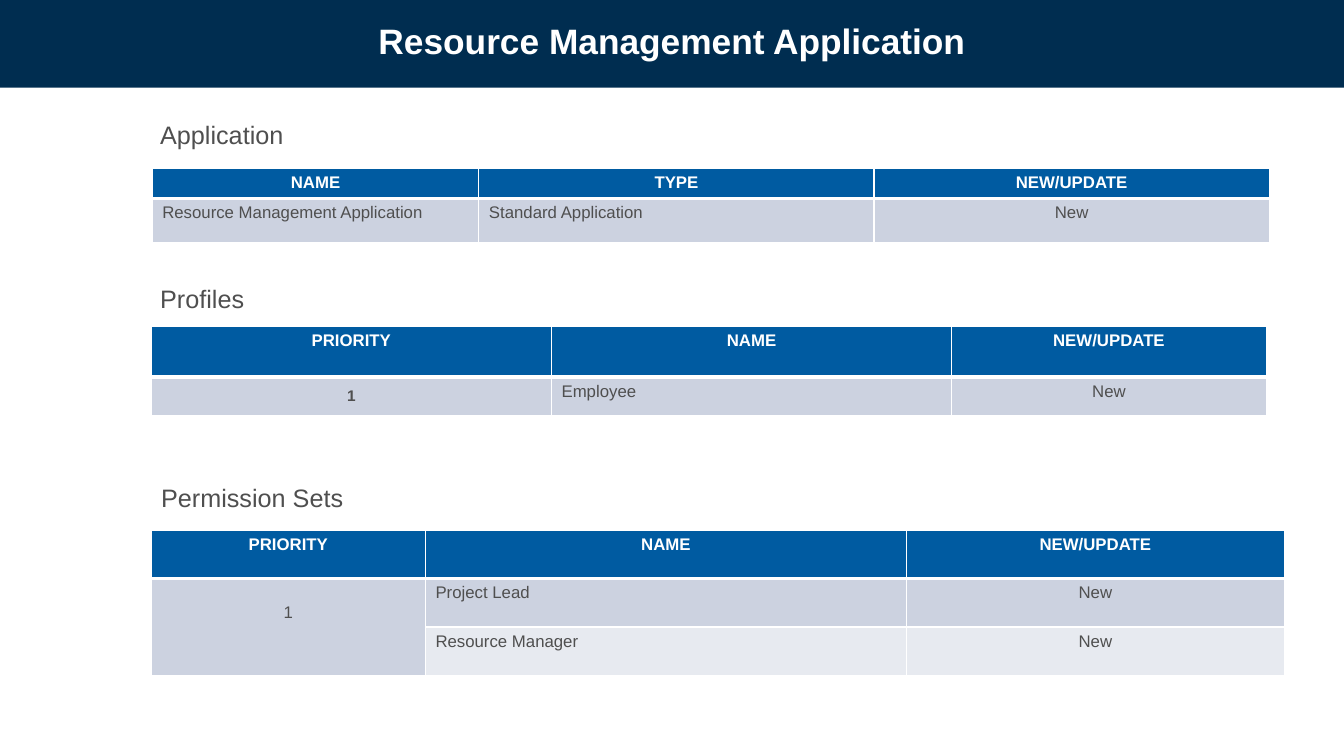
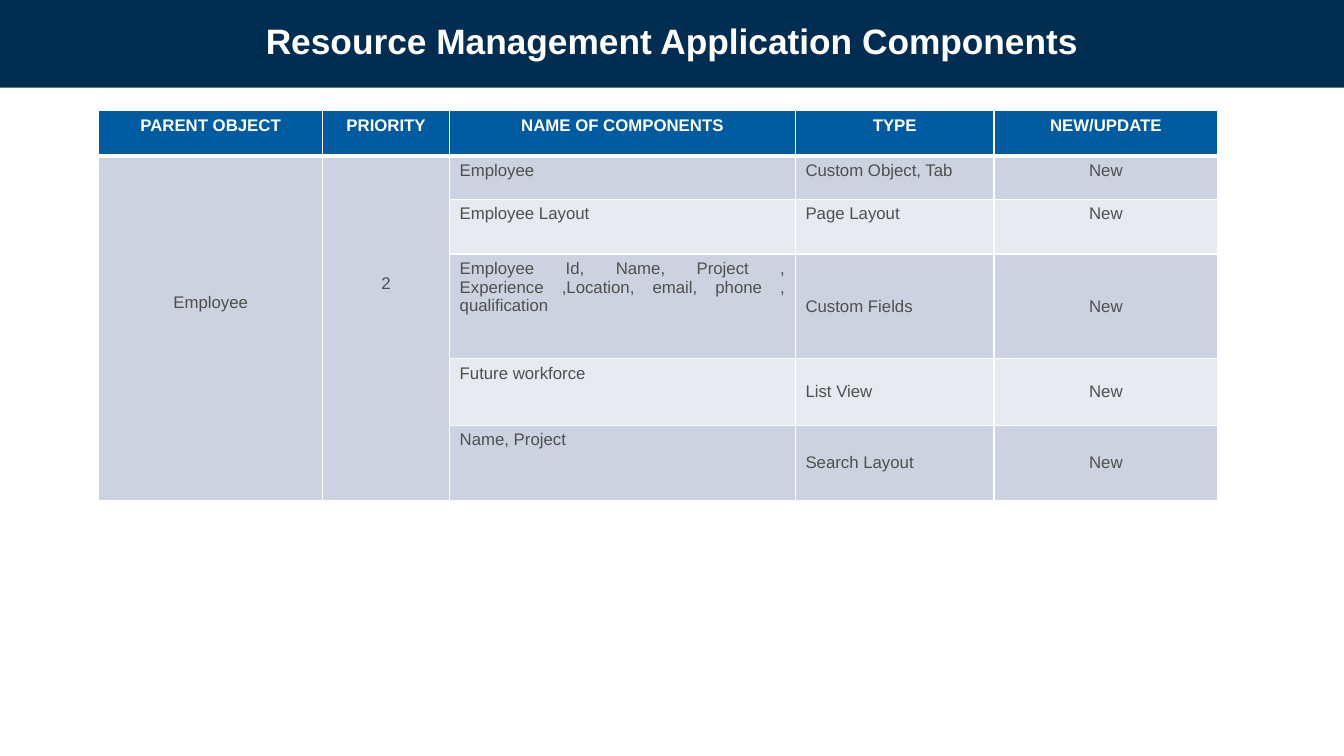
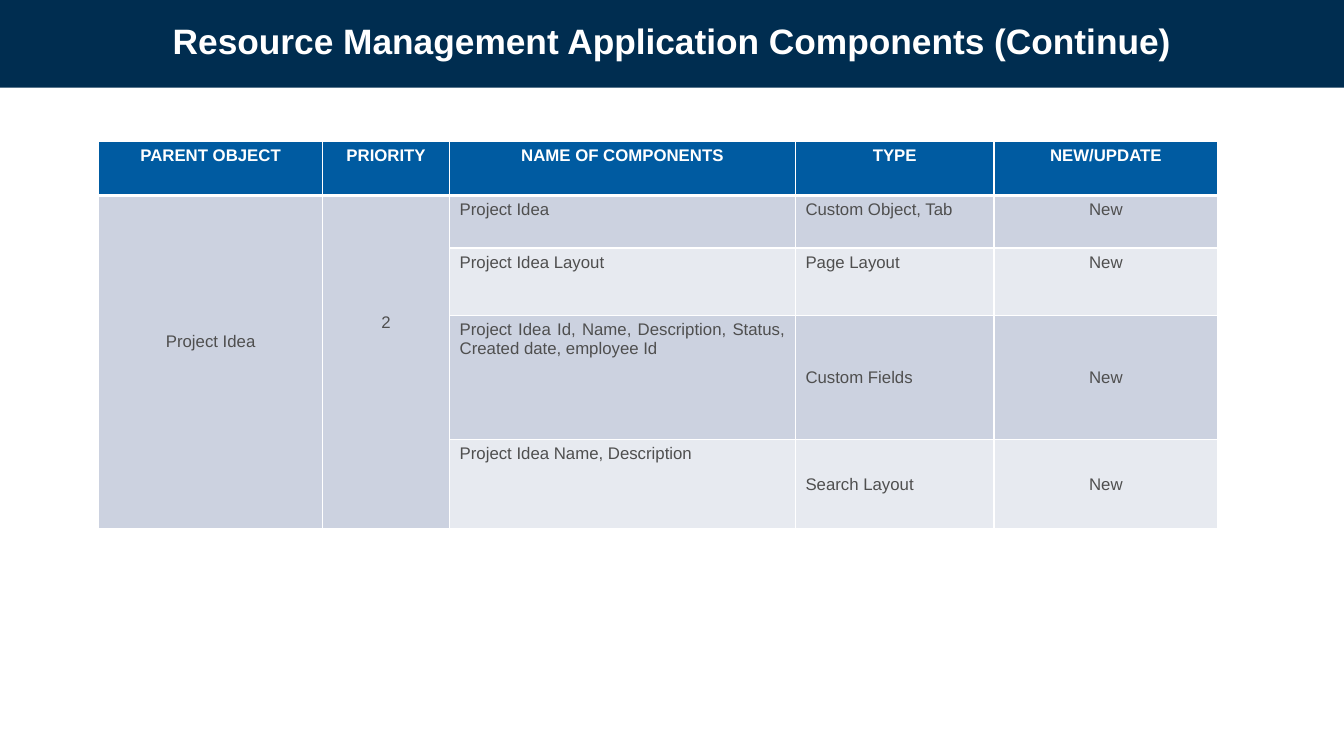
from dataclasses import dataclass

from lxml.etree import SubElement
from pptx import Presentation
from pptx.dml.color import RGBColor as RGB
from pptx.enum.shapes import MSO_SHAPE as SHAPE
from pptx.enum.text import MSO_ANCHOR as ANCHOR, PP_ALIGN as ALIGN
from pptx.oxml.ns import qn
from pptx.util import Inches, Pt


@dataclass(frozen=True)
class Theme:
    font: str = "Arial"
    band: RGB = RGB.from_string("002D50")
    header: RGB = RGB.from_string("005BA1")
    odd_row: RGB = RGB.from_string("CCD2E0")
    even_row: RGB = RGB.from_string("E7EAF0")
    ink: RGB = RGB.from_string("4F4F4F")
    white: RGB = RGB.from_string("FFFFFF")
    title_size: float = 25.2
    heading_size: float = 18
    cell_size: float = 12
    key_size: float = 11
    rule: float = 1
    header_rule: float = 3


theme = Theme()
LEFT, CENTER, JUSTIFY = ALIGN.LEFT, ALIGN.CENTER, ALIGN.JUSTIFY


def write(frame, text, size=theme.cell_size, color=theme.ink, bold=False,
          align=LEFT, anchor=ANCHOR.TOP):
    frame.word_wrap = True
    frame.vertical_anchor = anchor
    paragraph = frame.paragraphs[0]
    paragraph.alignment = align
    run = paragraph.add_run()
    run.text = text
    run.font.name = theme.font
    run.font.size = Pt(size)
    run.font.bold = bold
    run.font.color.rgb = color


def draw_edges(cell, top, bottom):
    properties = cell._tc.get_or_add_tcPr()
    widths = {"a:lnL": theme.rule, "a:lnR": theme.rule, "a:lnT": top, "a:lnB": bottom}
    for tag, width in widths.items():
        edge = SubElement(properties, qn(tag), w=str(Pt(width)))
        SubElement(SubElement(edge, qn("a:solidFill")), qn("a:srgbClr"), val=str(theme.white))


component_columns = {
    "header": ["PARENT OBJECT", "PRIORITY", "NAME OF COMPONENTS", "TYPE", "NEW/UPDATE"],
    "widths": [2.22, 1.26, 3.43, 1.97, 2.22],
    "aligns": [CENTER, CENTER, JUSTIFY, JUSTIFY, CENTER],
    "merged": {0: 1.36, 1: 1.17},
    "middle_from": (3, 3),
}

slides = [
    ("Resource Management Application", [
        {
            "heading": ("Application", 1.49, 1.13, 2.27),
            "at": (1.51, 1.67),
            "header": ["NAME", "TYPE", "NEW/UPDATE"],
            "widths": [3.24, 3.92, 3.92],
            "heights": [0.29, 0.44],
            "aligns": [LEFT, LEFT, CENTER],
            "rows": [["Resource Management Application", "Standard Application", "New"]],
        },
        {
            "heading": ("Profiles", 1.49, 2.76, 2.17),
            "at": (1.5, 3.24),
            "header": ["PRIORITY", "NAME", "NEW/UPDATE"],
            "widths": [3.97, 3.97, 3.12],
            "heights": [0.5, 0.38],
            "aligns": [CENTER, LEFT, CENTER],
            "key_column": 0,
            "rows": [["1", "Employee", "New"]],
        },
        {
            "heading": ("Permission Sets", 1.5, 4.74, 3.06),
            "at": (1.5, 5.26),
            "header": ["PRIORITY", "NAME", "NEW/UPDATE"],
            "widths": [2.72, 4.77, 3.75],
            "heights": [0.48, 0.48, 0.48],
            "aligns": [CENTER, LEFT, CENTER],
            "merged": {0: 0.24},
            "rows": [["1", "Project Lead", "New"], ["", "Resource Manager", "New"]],
        },
    ]),
    ("Resource Management Application Components", [
        {
            **component_columns,
            "at": (0.98, 1.1),
            "heights": [0.45, 0.43, 0.54, 1.04, 0.66, 0.75],
            "rows": [
                ["Employee", "2", "Employee", "Custom Object, Tab", "New"],
                ["", "", "Employee Layout", "Page Layout", "New"],
                ["", "", "Employee Id, Name, Project , Experience ,Location, email, "
                 "phone , qualification", "Custom Fields", "New"],
                ["", "", "Future workforce", "List View", "New"],
                ["", "", "Name, Project", "Search Layout", "New"],
            ],
        },
    ]),
    ("Resource Management Application Components (Continue)", [
        {
            **component_columns,
            "at": (0.98, 1.4),
            "heights": [0.54, 0.52, 0.67, 1.23, 0.89],
            "rows": [
                ["Project Idea", "2", "Project Idea", "Custom Object, Tab", "New"],
                ["", "", "Project Idea Layout", "Page Layout", "New"],
                ["", "", "Project Idea Id, Name, Description, Status, Created date, "
                 "employee Id", "Custom Fields", "New"],
                ["", "", "Project Idea Name, Description", "Search Layout", "New"],
            ],
        },
    ]),
]

deck = Presentation()
deck.slide_width, deck.slide_height = Inches(13.33), Inches(7.5)

for title, tables in slides:
    slide = deck.slides.add_slide(deck.slide_layouts[6])

    band = slide.shapes.add_shape(SHAPE.RECTANGLE, 0, 0, deck.slide_width, Inches(0.87))
    band.shadow.inherit = False
    band.fill.solid()
    band.fill.fore_color.rgb = theme.band
    band.line.fill.background()

    title_box = slide.shapes.add_textbox(0, Inches(0.12), deck.slide_width, Inches(0.57))
    write(title_box.text_frame, title, size=theme.title_size, color=theme.white,
          bold=True, align=CENTER, anchor=ANCHOR.MIDDLE)

    for section in tables:
        if "heading" in section:
            heading, left, top, width = section["heading"]
            heading_box = slide.shapes.add_textbox(
                Inches(left), Inches(top), Inches(width), Inches(0.4))
            write(heading_box.text_frame, heading, size=theme.heading_size)

        widths, heights = section["widths"], section["heights"]
        left, top = section["at"]
        grid = slide.shapes.add_table(
            len(heights), len(widths), Inches(left), Inches(top),
            Inches(sum(widths)), Inches(sum(heights))).table
        grid.horz_banding = False
        for column, width in zip(grid.columns, widths):
            column.width = Inches(width)
        for row, height in zip(grid.rows, heights):
            row.height = Inches(height)

        merged = section.get("merged", {})
        middle_row, middle_column = section.get("middle_from", (len(heights), len(widths)))
        for r, texts in enumerate([section["header"], *section["rows"]]):
            is_header = r == 0
            for c, text in enumerate(texts):
                cell = grid.cell(r, c)
                draw_edges(cell, theme.header_rule if r == 1 else theme.rule,
                           theme.header_rule if is_header else theme.rule)
                cell.fill.solid()
                if is_header:
                    cell.fill.fore_color.rgb = theme.header
                elif r % 2 or c in merged:
                    cell.fill.fore_color.rgb = theme.odd_row
                else:
                    cell.fill.fore_color.rgb = theme.even_row
                if not text:
                    continue
                is_key = not is_header and c == section.get("key_column")
                is_middle = is_key or (r >= middle_row and c >= middle_column)
                write(cell.text_frame, text,
                      size=theme.key_size if is_key else theme.cell_size,
                      color=theme.white if is_header else theme.ink,
                      bold=is_header or is_key,
                      align=CENTER if is_header else section["aligns"][c])
                cell.vertical_anchor = ANCHOR.MIDDLE if is_middle else ANCHOR.TOP

        for c, offset in merged.items():
            grid.cell(1, c).merge(grid.cell(len(heights) - 1, c))
            grid.cell(1, c).margin_top = Inches(offset)

deck.save("out.pptx")
